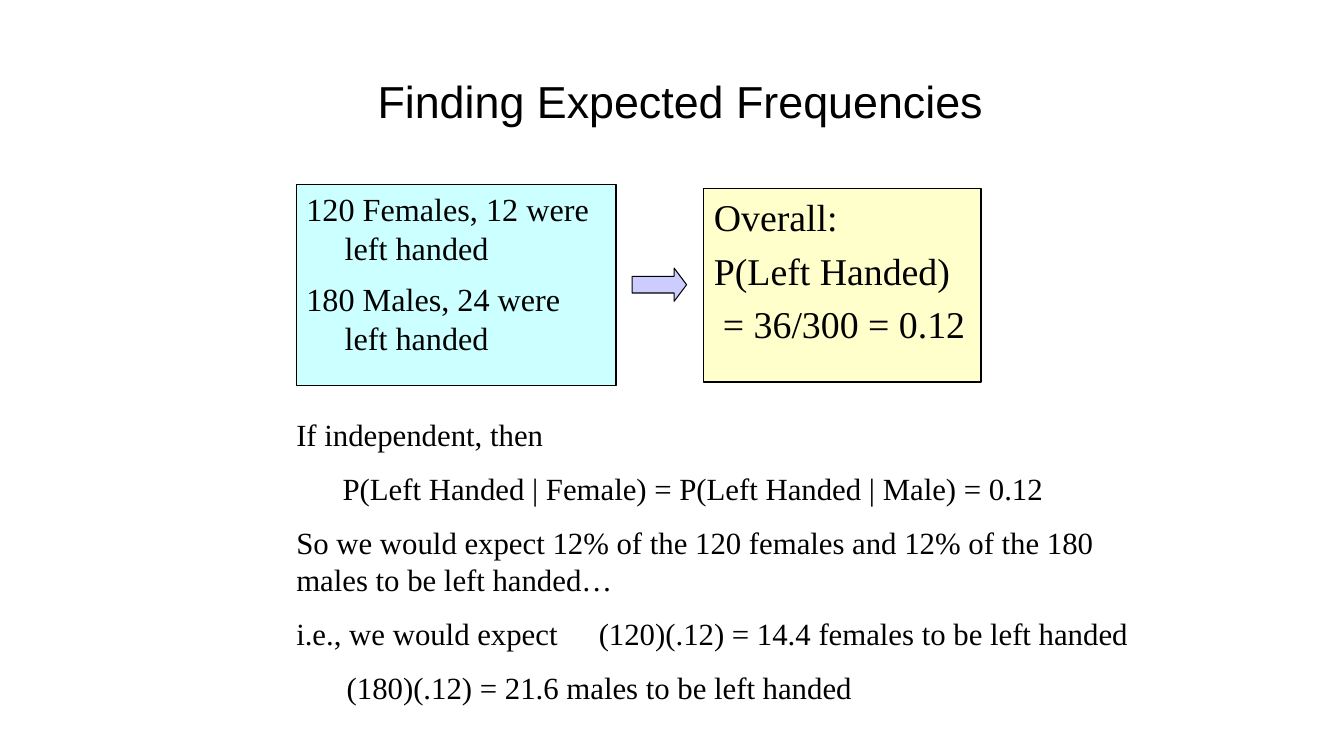
from lxml import etree
from pptx import Presentation
from pptx.dml.color import RGBColor
from pptx.enum.shapes import MSO_SHAPE
from pptx.enum.text import MSO_ANCHOR, MSO_AUTO_SIZE, PP_ALIGN
from pptx.oxml.ns import qn
from pptx.util import Inches, Pt

BLACK = RGBColor(0x00, 0x00, 0x00)
CYAN = RGBColor(0xCC, 0xFF, 0xFF)
YELLOW = RGBColor(0xFF, 0xFF, 0xCC)
LAVENDER = RGBColor(0xCC, 0xCC, 0xFF)
RECTANGLE = MSO_SHAPE.RECTANGLE
RIGHT_ARROW = MSO_SHAPE.RIGHT_ARROW
TOP, MIDDLE = MSO_ANCHOR.TOP, MSO_ANCHOR.MIDDLE
LEFT, CENTER = PP_ALIGN.LEFT, PP_ALIGN.CENTER
NO_AUTOFIT = MSO_AUTO_SIZE.NONE

TITLE = "Finding Expected Frequencies"
HANGING = (0.38, -0.38)
FLUSH = (0, 0)
TAB_STOP = 3
COUNTS = [
    ("120 Females, 12 were left handed", HANGING),
    ("180 Males, 24 were left handed", HANGING),
]
OVERALL = [
    ("Overall:", HANGING),
    ("P(Left Handed)", HANGING),
    ("= 36/300 = 0.12", (0.47, -0.38)),
]
REASONING = [
    ("If independent, then", FLUSH),
    ("P(Left Handed | Female) = P(Left Handed | Male) = 0.12", (0.46, 0)),
    ("So we would expect 12% of the 120 females and 12% of the 180 "
     "males to be left handed…", FLUSH),
    ("i.e., we would expect\t(120)(.12) = 14.4 females to be left handed", FLUSH),
    ("\t(180)(.12) = 21.6 males to be left handed", FLUSH),
]


def place(shape, left, top, width, height):
    shape.left, shape.top = Inches(left), Inches(top)
    shape.width, shape.height = Inches(width), Inches(height)


def paint(shape, color):
    shape.fill.solid()
    shape.fill.fore_color.rgb = color
    shape.line.color.rgb = BLACK
    shape.line.width = Pt(0.75)


def set_font(paragraph, name, size):
    paragraph.font.name = name
    paragraph.font.size = Pt(size)
    paragraph.font.color.rgb = BLACK


def write(shape, lines, size, before, after=0):
    frame = shape.text_frame
    frame.word_wrap = True
    frame.auto_size = NO_AUTOFIT
    frame.vertical_anchor = TOP
    for index, (text, (margin, indent)) in enumerate(lines):
        paragraph = frame.add_paragraph() if index else frame.paragraphs[0]
        paragraph.text = text
        paragraph.alignment = LEFT
        paragraph.space_before = Pt(before if index else 0)
        paragraph.space_after = Pt(after)
        properties = paragraph._p.get_or_add_pPr()
        properties.set("marL", str(Inches(margin)))
        properties.set("indent", str(Inches(indent)))
        etree.SubElement(properties, qn("a:buNone"))
        if "\t" in text:
            tabs = etree.SubElement(properties, qn("a:tabLst"))
            etree.SubElement(tabs, qn("a:tab"), pos=str(Inches(TAB_STOP)), algn="l")
        set_font(paragraph, "Times New Roman", size)


presentation = Presentation()
presentation.slide_width = Inches(13.33)
presentation.slide_height = Inches(7.5)
slide = presentation.slides.add_slide(presentation.slide_layouts[1])
shapes = slide.shapes

title = shapes.title
place(title, 2.5, 0.58, 8.5, 0.83)
title.text_frame.text = TITLE
title.text_frame.vertical_anchor = MIDDLE
title.text_frame.paragraphs[0].alignment = CENTER
set_font(title.text_frame.paragraphs[0], "Arial", 32)

overall = slide.placeholders[1]
place(overall, 6.98, 1.87, 2.75, 1.92)
paint(overall, YELLOW)
write(overall, OVERALL, 27, 6)

counts = shapes.add_shape(RECTANGLE, Inches(2.94), Inches(1.83), Inches(3.17), Inches(2))
counts.shadow.inherit = False
paint(counts, CYAN)
write(counts, COUNTS, 23, 9)

reasoning = shapes.add_textbox(Inches(2.84), Inches(4.08), Inches(8.58), Inches(3))
write(reasoning, REASONING, 22, 6, 6)

arrow = shapes.add_shape(RIGHT_ARROW, Inches(6.27), Inches(2.66), Inches(0.54), Inches(0.33))
arrow.shadow.inherit = False
arrow.adjustments[0] = 0.5
arrow.adjustments[1] = 0.375
paint(arrow, LAVENDER)

presentation.save("out.pptx")
